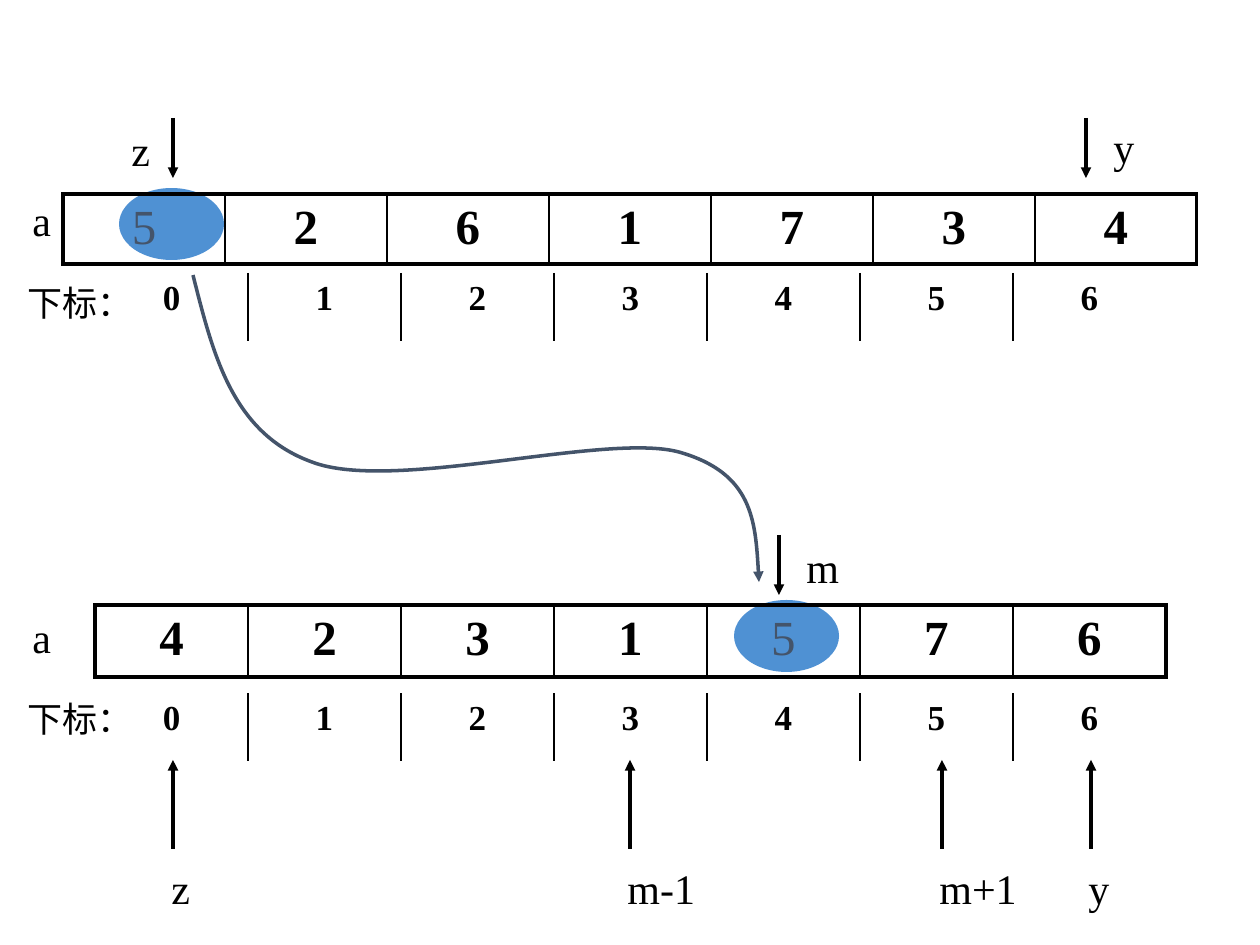
import pptx
import pptx.util
import pptx.dml.color
import pptx.enum.shapes
import pptx.enum.text
import pptx.oxml
import pptx.oxml.ns
from dataclasses import dataclass
from lxml import etree


@dataclass
class Theme:
    font: str = "Times New Roman"
    ink: str = "000000"
    accent: str = "44546A"
    highlight: str = "0563C1"
    value_size: int = 28
    label_size: int = 24
    index_size: int = 20
    thick: float = 2.25
    thin: float = 1
    arrow: float = 2


theme = Theme()
SCALE = 914400 / 126  # EMU per px
rgb = pptx.dml.color.RGBColor.from_string
qn = pptx.oxml.ns.qn


def emu(*lengths):
    return [round(length * SCALE) for length in lengths]


def style_arrow(line, color):
    line.color.rgb = rgb(color)
    line.width = pptx.util.Pt(theme.arrow)
    etree.SubElement(line._get_or_add_ln(), qn("a:tailEnd"), type="triangle")


presentation = pptx.Presentation()
presentation.slide_width, presentation.slide_height = emu(1260, 945)
slide = presentation.slides.add_slide(presentation.slide_layouts[6])
shapes = slide.shapes

# Pivot highlights, behind the arrays
for left, top in [(119, 188), (734, 600)]:
    ellipse = shapes.add_shape(
        pptx.enum.shapes.MSO_SHAPE.OVAL, *emu(left, top, 105, 72))
    ellipse.shadow.inherit = False
    ellipse.line.fill.background()
    ellipse.fill.solid()
    ellipse.fill.fore_color.rgb = rgb(theme.highlight)
    color = ellipse._element.spPr.find(".//" + qn("a:srgbClr"))
    etree.SubElement(color, qn("a:alpha"), val="70000")

# Arrays and their index rows: left, top, cell width, height, values, framed
rows = [
    (63, 194, 162, 70, "5261734", True),
    (95, 273, 153, 68, "0123456", False),
    (95, 605, 153, 72, "4231576", True),
    (95, 693, 153, 68, "0123456", False),
]
for left, top, width, height, values, framed in rows:
    last = len(values) - 1
    table = shapes.add_table(
        1, len(values), *emu(left, top, width * len(values), height)).table
    table.first_row = table.horz_banding = False
    outer = theme.thick if framed else 0
    for i, value in enumerate(values):
        table.columns[i].width = emu(width)[0]
        cell = table.cell(0, i)
        borders = {
            "L": outer if i == 0 else theme.thin,
            "R": outer if i == last else theme.thin,
            "T": outer,
            "B": outer,
        }
        properties = cell._tc.get_or_add_tcPr()
        for side, points in borders.items():
            paint = (f'<a:solidFill><a:srgbClr val="{theme.ink}"/></a:solidFill>'
                     if points else "<a:noFill/>")
            properties.append(pptx.oxml.parse_xml(
                f'<a:ln{side} {pptx.oxml.ns.nsdecls("a")} '
                f'w="{pptx.util.Pt(points)}">{paint}</a:ln{side}>'))
        cell.fill.background()
        pivot = framed and value == "5"
        paragraph = cell.text_frame.paragraphs[0]
        paragraph.text = value
        paragraph.alignment = pptx.enum.text.PP_ALIGN.CENTER
        paragraph.font.name = theme.font
        paragraph.font.size = pptx.util.Pt(
            theme.value_size if framed else theme.index_size)
        paragraph.font.bold = not pivot
        paragraph.font.color.rgb = rgb(theme.accent if pivot else theme.ink)

# Labels: text, left, top, width, height, size
labels = [
    ("a", 20, 188, 54, 63, theme.label_size),
    ("a", 20, 605, 54, 63, theme.label_size),
    ("下标：", 15, 275, 159, 54, theme.index_size),
    ("下标：", 15, 691, 159, 54, theme.index_size),
    ("z", 119, 118, 54, 63, theme.label_size),
    ("y", 1101, 115, 54, 63, theme.label_size),
    ("m", 794, 535, 54, 63, theme.label_size),
    ("z", 159, 856, 54, 63, theme.label_size),
    ("m-1", 615, 856, 120, 63, theme.label_size),
    ("m+1", 927, 856, 120, 63, theme.label_size),
    ("y", 1076, 856, 54, 63, theme.label_size),
]
for text, left, top, width, height, size in labels:
    frame = shapes.add_textbox(*emu(left, top, width, height)).text_frame
    frame.word_wrap = True
    paragraph = frame.paragraphs[0]
    paragraph.text = text
    paragraph.font.name = theme.font
    paragraph.font.size = pptx.util.Pt(size)
    paragraph.font.color.rgb = rgb(theme.ink)

# Pointer arrows: x, start y, end y
pointers = [(173, 118, 178), (1086, 118, 178), (779, 535, 595)]
pointers += [(x, 849, 760) for x in (173, 630, 942, 1091)]
for x, start, end in pointers:
    connector = shapes.add_connector(
        pptx.enum.shapes.MSO_CONNECTOR.STRAIGHT, *emu(x, start, x, end))
    style_arrow(connector.line, theme.ink)
    etree.SubElement(connector._element.spPr, qn("a:effectLst"))

# Curved path of the pivot, each three points after the start being one Bezier
curve = [(193, 275), (213, 354), (232, 433), (312, 462), (393, 493),
         (605, 432), (679, 452), (753, 473), (756, 527), (759, 582)]
builder = shapes.build_freeform(*curve[0], scale=SCALE)
builder.add_line_segments(curve[1:], close=False)
path = builder.convert_to_shape()
path.shadow.inherit = False
path.fill.background()
style_arrow(path.line, theme.accent)
outline = path._element.spPr.find(".//" + qn("a:path"))
segments = outline.findall(qn("a:lnTo"))
for i in range(0, len(segments), 3):
    bezier = etree.SubElement(outline, qn("a:cubicBezTo"))
    for segment in segments[i:i + 3]:
        bezier.append(segment[0])
        outline.remove(segment)

presentation.save("out.pptx")
